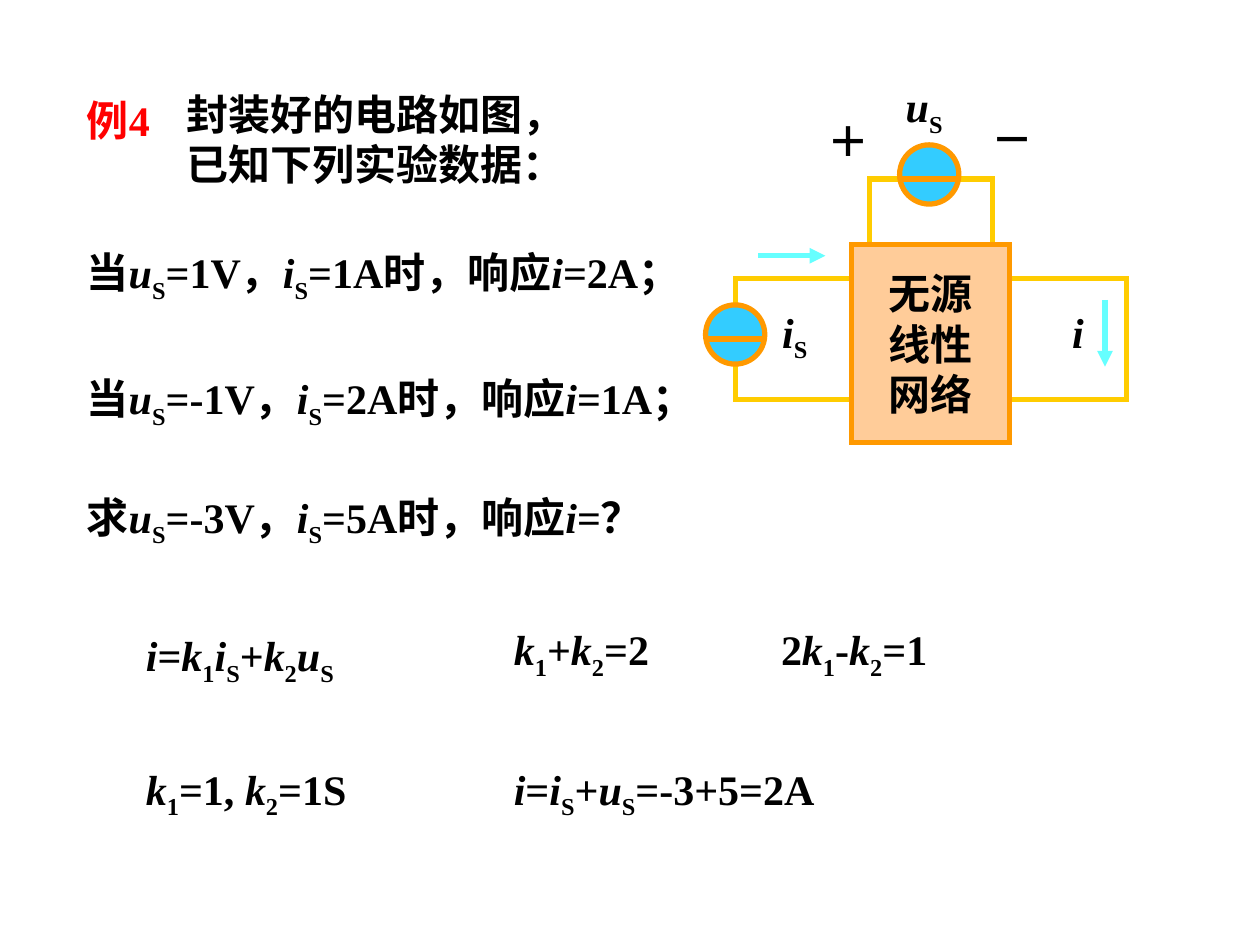
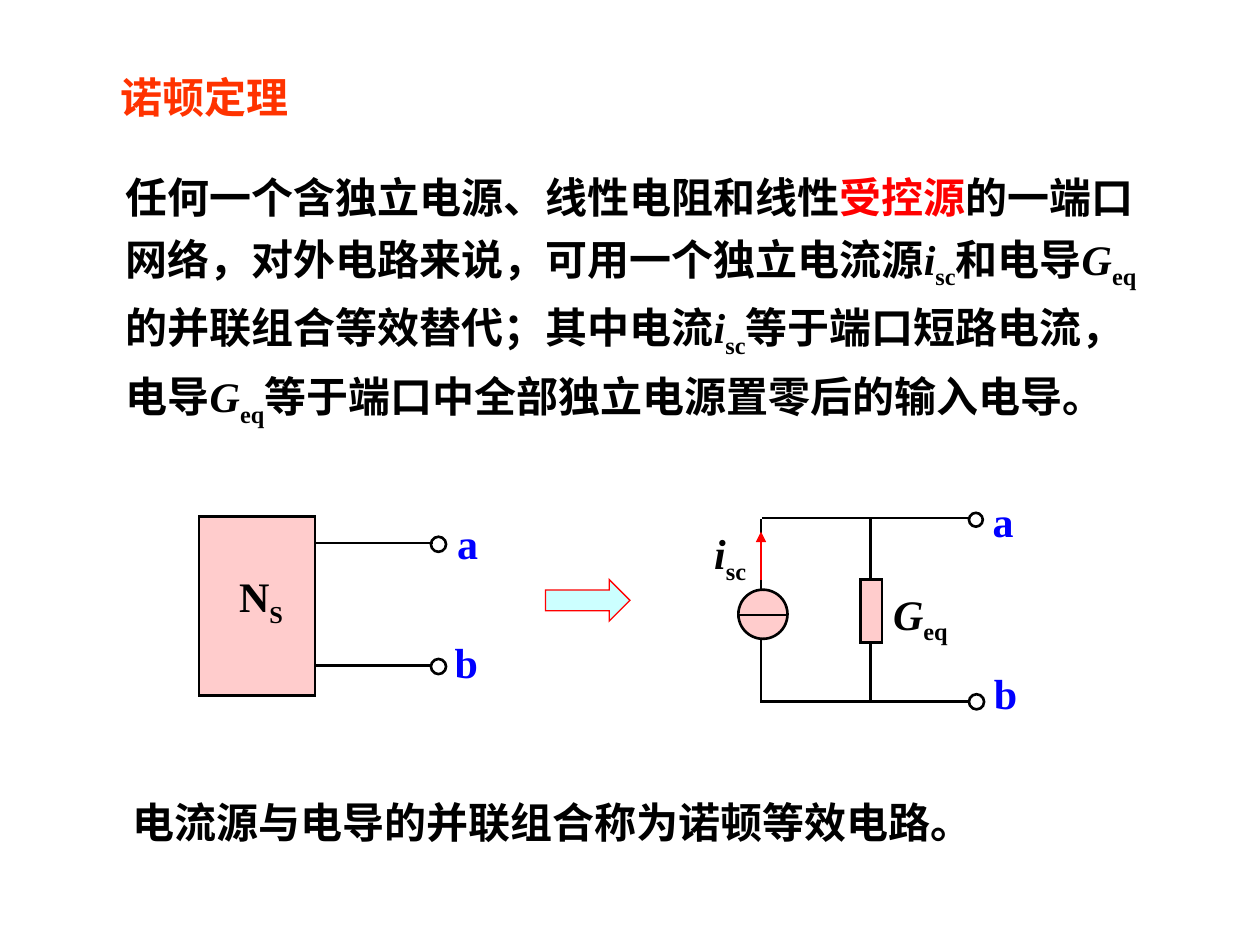
import lxml.etree
import pptx
import pptx.dml.color
import pptx.enum.shapes
import pptx.enum.text
import pptx.oxml.ns
import pptx.util

PX = 9144  # EMU in one px, 100 px to the inch
FONT, SIZE, GAP = "Times New Roman", 24, 15
COLORS = {
    "black": "000000", "red": "FF0000", "title": "FF3300", "blue": "0000FF",
    "wire": "FFCC00", "edge": "FF9900", "box": "FFCC99", "source": "33CCFF",
    "flow": "66FFFF", "pink": "FFCCCC", "arrow": "CCFFFF",
}
KINDS = pptx.enum.shapes.MSO_SHAPE
ANCHOR = pptx.enum.text.MSO_ANCHOR

# Text is cut at "|"; a part that starts with / is italic, _ subscript, ! red.
# Example slide: left, top, width, height, text
LABELS = [
    (709, 59, 97, 56, "/u|_S"),
    (841, 238, 62, 50, "/i"),
    (777, 85, 73, 50, "－"),
    (647, 87, 62, 50, "＋"),
    (611, 238, 89, 56, "/i|_S"),
    (59, 70, 79, 50, "!例4"),
]
STEPS = [
    (138, 65, 339, 90, "封装好的电路如图，已知下列实验数据："),
    (59, 191, 536, 56, "当|/u|_S|=1V，|/i|_S|=1A时，响应|/i|=2A；"),
    (59, 291, 536, 56, "当|/u|_S|=-1V，|/i|_S|=2A时，响应|/i|=1A；"),
    (59, 385, 536, 56, "求|/u|_S|=-3V，|/i|_S|=5A时，响应|/i|=？"),
    (106, 495, 220, 56, "/i|=|/k|_1|/i|_S|+|/k|_2|/u|_S"),
    (398, 490, 205, 56, "/k|_1|+|/k|_2|=2"),
    (610, 490, 205, 56, "2|/k|_1|-|/k|_2|=1"),
    (106, 601, 220, 56, "/k|_1|=1, |/k|_2|=1S"),
    (398, 601, 307, 56, "/i|=|/i|_S|+|/u|_S|=-3+5=2A"),
]
LOOPS = [(584, 221, 106, 96), (690, 142, 98, 61), (788, 221, 106, 96)]
NETWORK = (676, 194, 125, 157)
NET_NAME = "无源\n线性\n网络"
SOURCES = [(560, 242, 269), (714, 115, 142)]  # left, top, height of the bar
FLOWS = [(877, 238, 877, 291), (602, 203, 655, 203)]

# Theorem slide
TITLE = (86, 52, 185, 50, "诺顿定理")
THEOREM = (
    90, 123, 843, 270,
    "任何一个含独立电源、线性电阻和线性|!受控源|的一端口网络，"
    "对外电路来说，可用一个独立电流源|/i|_sc|和电导|/G|_eq|"
    "的并联组合等效替代；其中电流|/i|_sc|等于端口短路电流， 电导|/G|_eq|"
    "等于端口中全部独立电源置零后的输入电导。",
)
SUMMARY = (95, 627, 686, 50, "电流源与电导的并联组合称为诺顿等效电路。")
BECOMES = (433, 460, 67, 33)
PORT = {
    "wires": [(249, 431, 344, 431), (248, 528, 343, 528)],
    "parts": [("RECTANGLE", 158, 410, 92, 142)],
    "ends": [(342, 426, 12), (342, 523, 12)],
    "bars": [],
    "names": [(180, 448, 74, 56, "N|_S")],
    "poles": [(353, 406, 36, 50, "a"), (351, 500, 38, 50, "b")],
}
NORTON = {
    "wires": [(691, 412, 691, 558), (604, 412, 604, 558),
              (605, 411, 770, 411), (605, 557, 770, 557)],
    "parts": [("RECTANGLE", 683, 460, 17, 50), ("OVAL", 586, 468, 39, 39)],
    "ends": [(769, 551, 12), (769, 407, 11)],
    "bars": [(585, 488, 624, 488)],
    "names": [(557, 414, 50, 56, "/i|_sc"), (699, 462, 68, 56, "/G|_eq")],
    "poles": [(779, 525, 38, 50, "b"), (778, 388, 36, 50, "a")],
}
SHORT_FLOW = (604, 460, 604, 422)


def scale(values):
    return [round(v * PX) for v in values]


def rgb(name):
    return pptx.dml.color.RGBColor.from_string(COLORS[name])


def add_xml(parent, tag, **attrs):
    lxml.etree.SubElement(parent, pptx.oxml.ns.qn(tag), **attrs)


def write(frame, text, color="black", before=0, lines=None, align=None):
    """Turn marked-up text into formatted paragraphs and runs."""
    for n, row in enumerate(text.split("\n")):
        para = frame.add_paragraph() if n else frame.paragraphs[0]
        para.space_before = pptx.util.Pt(before)
        para.line_spacing = lines
        para.alignment = align
        for part in row.split("|"):
            mark = part[0] if part[0] in "/_!" else ""
            run = para.add_run()
            run.text = part[len(mark):]
            font = run.font
            font.name, font.size, font.bold = FONT, pptx.util.Pt(SIZE), True
            font.italic = mark == "/"
            font.color.rgb = rgb("red" if mark == "!" else color)
            if mark == "_":
                run._r.get_or_add_rPr().set("baseline", "-25000")


def label(shapes, item, wrap=True, anchor=ANCHOR.TOP, **style):
    *place, text = item
    frame = shapes.add_textbox(*scale(place)).text_frame
    frame.word_wrap = wrap
    frame.auto_size = pptx.enum.text.MSO_AUTO_SIZE.SHAPE_TO_FIT_TEXT
    frame.vertical_anchor = anchor
    write(frame, text, **style)


def shape(shapes, kind, place, fill, edge="black", width=1.5):
    item = shapes.add_shape(getattr(KINDS, kind), *scale(place))
    item.shadow.inherit = False
    if fill:
        item.fill.solid()
        item.fill.fore_color.rgb = rgb(fill)
    else:
        item.fill.background()
    item.line.color.rgb = rgb(edge)
    item.line.width = pptx.util.Pt(width)
    add_xml(item.line._get_or_add_ln(), "a:miter", lim="800000")
    return item


def line(shapes, ends, color="black", width=1.5, arrow=False):
    kind = pptx.enum.shapes.MSO_CONNECTOR.STRAIGHT
    item = shapes.add_connector(kind, *scale(ends))
    item.line.color.rgb = rgb(color)
    item.line.width = pptx.util.Pt(width)
    if arrow:
        add_xml(item.line._get_or_add_ln(), "a:tailEnd", type="triangle")
    add_xml(item._element.spPr, "a:effectLst")


def circuit(shapes, data):
    for ends in data["wires"]:
        line(shapes, ends)
    for kind, *place in data["parts"]:
        shape(shapes, kind, place, "pink")
    for left, top, size in data["ends"]:
        shape(shapes, "OVAL", (left, top, size, size), None)
    for ends in data["bars"]:
        line(shapes, ends)
    for item in data["names"]:
        label(shapes, item, wrap=False)
    for item in data["poles"]:
        label(shapes, item, wrap=False, color="blue")


def example(shapes):
    for place in LOOPS:
        shape(shapes, "RECTANGLE", place, None, "wire", 3)
    box = shape(shapes, "RECTANGLE", NETWORK, "box", "edge", 3)
    box.text_frame.word_wrap = False
    box.text_frame.vertical_anchor = ANCHOR.MIDDLE
    write(box.text_frame, NET_NAME, align=pptx.enum.text.PP_ALIGN.CENTER)
    for left, top, bar in SOURCES:
        group = shapes.add_group_shape().shapes
        shape(group, "OVAL", (left, top, 47, 47), "source", "edge", 3)
        line(group, (left, bar, left + 47, bar), "edge", 3)
    for ends in FLOWS:
        line(shapes, ends, "flow", 3, arrow=True)
    for item in LABELS:
        label(shapes, item)
    for item in STEPS:
        label(shapes, item, before=GAP)


def theorem(shapes):
    label(shapes, THEOREM, before=GAP, lines=1.2)
    label(shapes, TITLE, anchor=ANCHOR.MIDDLE, color="title", before=GAP)
    shape(shapes, "RIGHT_ARROW", BECOMES, "arrow", "red", 0.75)
    label(shapes, SUMMARY, wrap=False)
    circuit(shapes.add_group_shape().shapes, PORT)
    norton = shapes.add_group_shape().shapes
    circuit(norton, NORTON)
    line(norton, SHORT_FLOW, "red", arrow=True)


def main():
    deck = pptx.Presentation()
    deck.slide_width, deck.slide_height = scale((1000, 750))
    for draw in (example, theorem):
        draw(deck.slides.add_slide(deck.slide_layouts[6]).shapes)
    deck.save("out.pptx")


if __name__ == "__main__":
    main()
